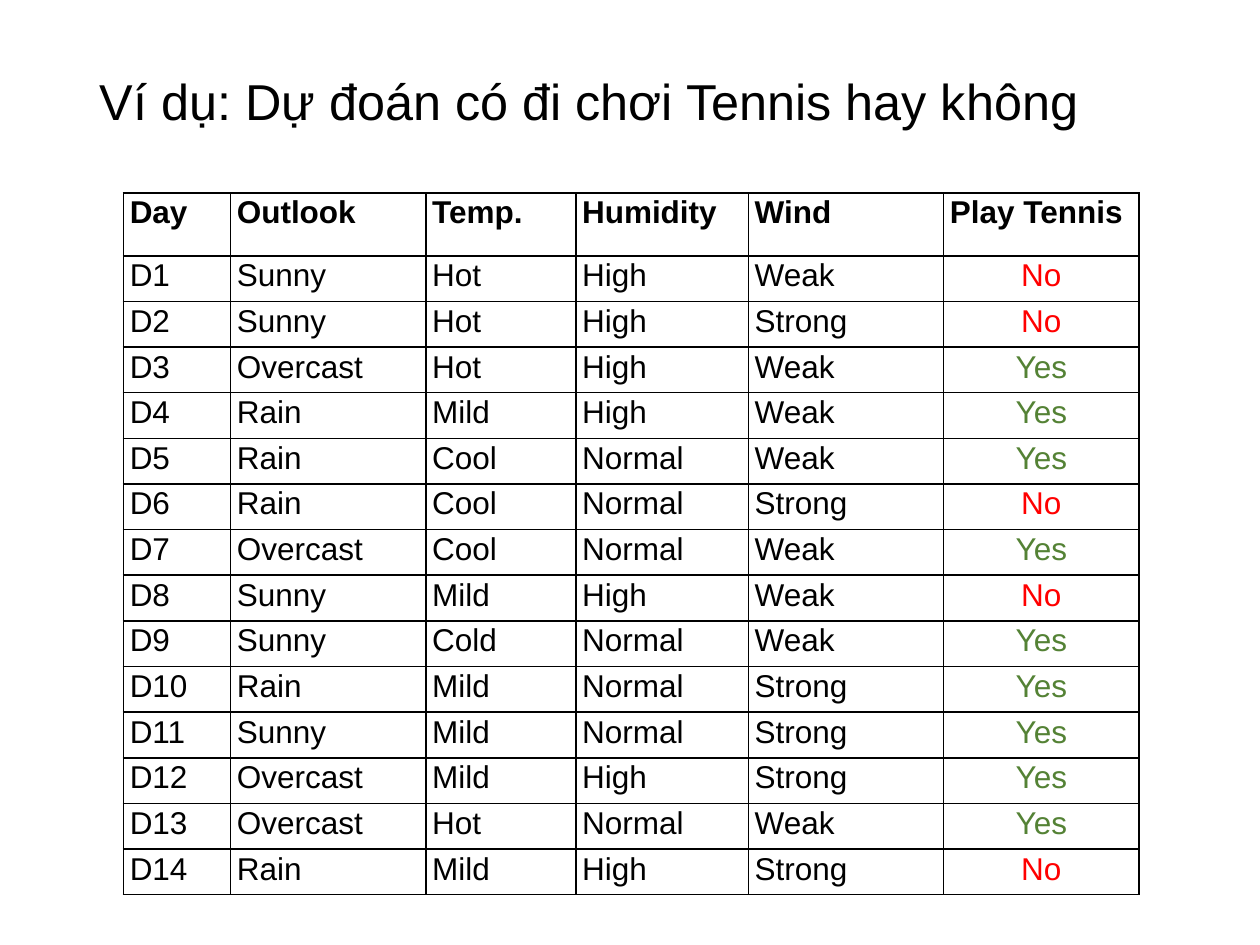
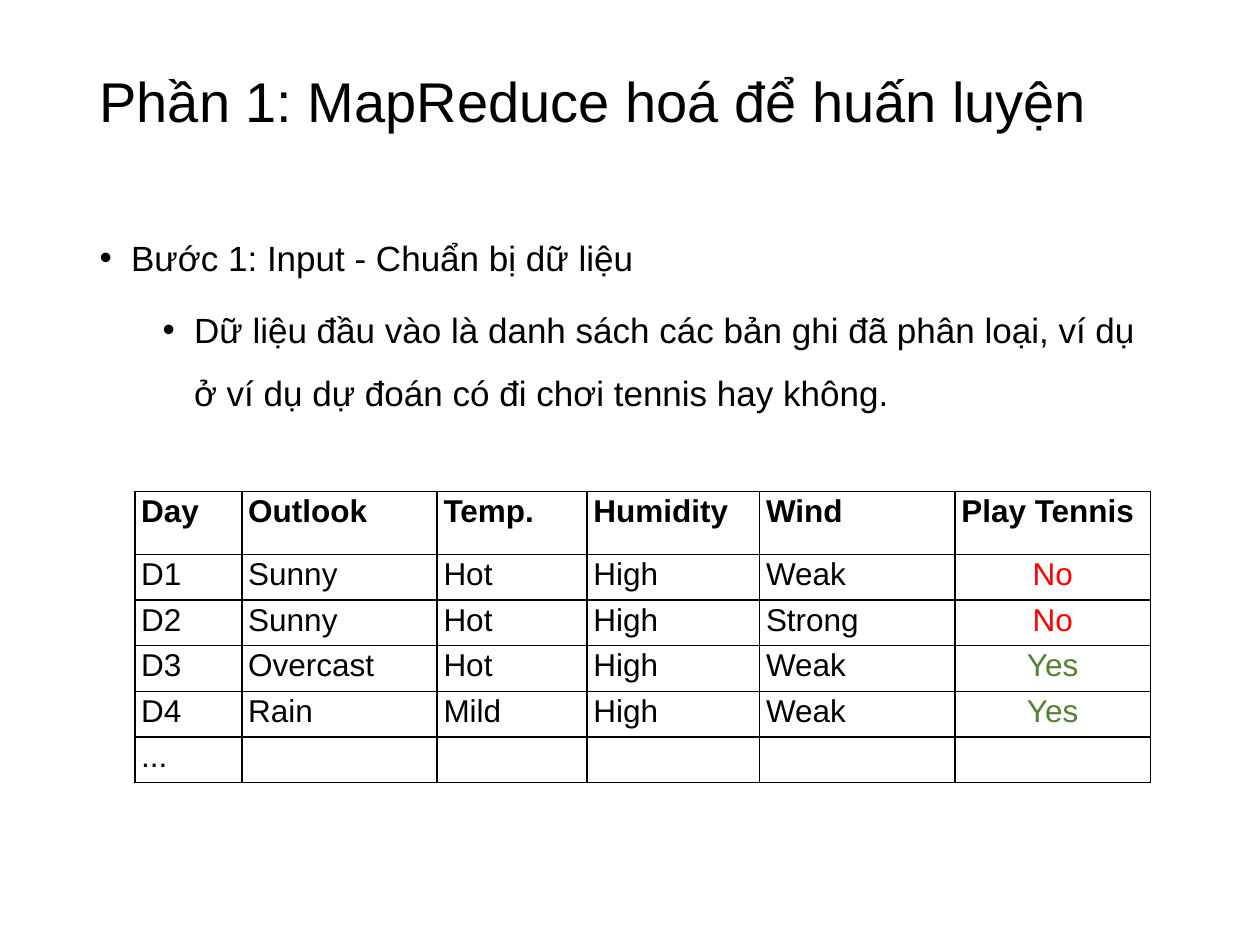
from dataclasses import dataclass

from lxml.etree import SubElement
from pptx import Presentation
from pptx.dml.color import RGBColor
from pptx.enum.text import MSO_ANCHOR, MSO_AUTO_SIZE, PP_ALIGN
from pptx.oxml import parse_xml
from pptx.oxml.ns import nsdecls, qn
from pptx.util import Inches, Pt


@dataclass(frozen=True)
class Theme:
    font: str = "Arial"
    ink: str = "000000"
    paper: str = "FFFFFF"
    no: str = "FF0000"
    yes: str = "548235"
    body: float = 20
    cell: float = 18
    rule: float = 1


THEME = Theme()
WIDE, HIGH = Inches(10), Inches(7.5)

TITLE = (6.9, 5.33, 86.2, 11.33)
BODY = (6.9, 22.13, 86.2, 68)
COLS = (8.5, 15.5, 11.9, 13.7, 15.5, 15.5)
HEAD_ROW, DATA_ROW = 6.67, 4.83

HEAD = ("Day", "Outlook", "Temp.", "Humidity", "Wind", "Play Tennis")
DAYS = [
    ("D1", "Sunny", "Hot", "High", "Weak", "No"),
    ("D2", "Sunny", "Hot", "High", "Strong", "No"),
    ("D3", "Overcast", "Hot", "High", "Weak", "Yes"),
    ("D4", "Rain", "Mild", "High", "Weak", "Yes"),
    ("D5", "Rain", "Cool", "Normal", "Weak", "Yes"),
    ("D6", "Rain", "Cool", "Normal", "Strong", "No"),
    ("D7", "Overcast", "Cool", "Normal", "Weak", "Yes"),
    ("D8", "Sunny", "Mild", "High", "Weak", "No"),
    ("D9", "Sunny", "Cold", "Normal", "Weak", "Yes"),
    ("D10", "Rain", "Mild", "Normal", "Strong", "Yes"),
    ("D11", "Sunny", "Mild", "Normal", "Strong", "Yes"),
    ("D12", "Overcast", "Mild", "High", "Strong", "Yes"),
    ("D13", "Overcast", "Hot", "Normal", "Weak", "Yes"),
    ("D14", "Rain", "Mild", "High", "Strong", "No"),
]
MORE = ("...", "", "", "", "", "")


def across(share):
    return round(WIDE * share / 100)


def down(share):
    return round(HIGH * share / 100)


def frame(box):
    left, top, width, height = box
    return {"left": across(left), "top": down(top),
            "width": across(width), "height": down(height)}


def apply(item, values):
    for name, value in values.items():
        setattr(item, name, value)


def write(para, text, size, color=THEME.ink, bold=False, **form):
    run = para.add_run()
    run.text = text
    apply(run.font, {"name": THEME.font, "size": Pt(size), "bold": bold})
    run.font.color.rgb = RGBColor.from_string(color)
    apply(para, form)


def add_title(slide, box, text, size):
    shape = slide.shapes.title
    apply(shape, frame(box))
    apply(shape.text_frame, {"vertical_anchor": MSO_ANCHOR.MIDDLE,
                             "auto_size": MSO_AUTO_SIZE.NONE, "word_wrap": True})
    write(shape.text_frame.paragraphs[0], text, size,
          alignment=PP_ALIGN.LEFT, line_spacing=0.9)


def add_list(slide, box, items):
    shape = slide.placeholders[1]
    apply(shape, frame(box))
    text = shape.text_frame
    apply(text, {"auto_size": MSO_AUTO_SIZE.NONE, "word_wrap": True})
    for index, (level, line) in enumerate(items):
        para = text.add_paragraph() if index else text.paragraphs[0]
        write(para, line, THEME.body, level=level, line_spacing=1.5,
              space_before=Pt(5 if level else 10))
        props = para._p.get_or_add_pPr()
        props.set("marL", str(Inches(0.25 + 0.5 * level)))
        props.set("indent", str(-Inches(0.25)))
        SubElement(props, qn("a:buFont")).set("typeface", THEME.font)
        SubElement(props, qn("a:buChar")).set("char", "•")


def add_rules(cell):
    props = cell._tc.get_or_add_tcPr()
    for index, side in enumerate("LRTB"):
        props.insert(index, parse_xml(
            f'<a:ln{side} {nsdecls("a")} w="{Pt(THEME.rule)}"><a:solidFill>'
            f'<a:srgbClr val="{THEME.ink}"/></a:solidFill></a:ln{side}>'))


def fill_cell(cell, text, head):
    apply(cell, {"margin_left": Inches(0.05), "margin_right": Inches(0.05),
                 "margin_top": 0, "margin_bottom": 0})
    cell.fill.solid()
    cell.fill.fore_color.rgb = RGBColor.from_string(THEME.paper)
    add_rules(cell)
    if text:
        color = {"No": THEME.no, "Yes": THEME.yes}.get(text)
        write(cell.text_frame.paragraphs[0], text, THEME.cell,
              color or THEME.ink, head, line_spacing=1.07,
              alignment=PP_ALIGN.CENTER if color else PP_ALIGN.LEFT)


def add_days(slide, left, top, days):
    rows = [HEAD, *days]
    box = (left, top, sum(COLS), HEAD_ROW + DATA_ROW * len(days))
    grid = slide.shapes.add_table(len(rows), len(COLS), **frame(box)).table
    apply(grid, {"first_row": False, "horz_banding": False})
    for col, share in zip(grid.columns, COLS):
        col.width = across(share)
    for index, texts in enumerate(rows):
        row = grid.rows[index]
        row.height = down(DATA_ROW if index else HEAD_ROW)
        for cell, text in zip(row.cells, texts):
            fill_cell(cell, text, index == 0)


def add_sample(deck):
    slide = deck.slides.add_slide(deck.slide_layouts[5])
    add_title(slide, TITLE, "Ví dụ: Dự đoán có đi chơi Tennis hay không", 28.8)
    add_days(slide, 9.8, 20.4, DAYS)


def add_step(deck):
    slide = deck.slides.add_slide(deck.slide_layouts[1])
    add_title(slide, TITLE, "Phần 1: MapReduce hoá để huấn luyện", 32)
    add_list(slide, BODY, [
        (0, "Bước 1: Input - Chuẩn bị dữ liệu"),
        (1, "Dữ liệu đầu vào là danh sách các bản ghi đã phân loại, "
            "ví dụ ở ví dụ dự đoán có đi chơi tennis hay không."),
    ])
    add_days(slide, 10.7, 52, [*DAYS[:4], MORE])


def main():
    deck = Presentation()
    apply(deck, {"slide_width": WIDE, "slide_height": HIGH})
    add_sample(deck)
    add_step(deck)
    deck.save("out.pptx")


if __name__ == "__main__":
    main()
